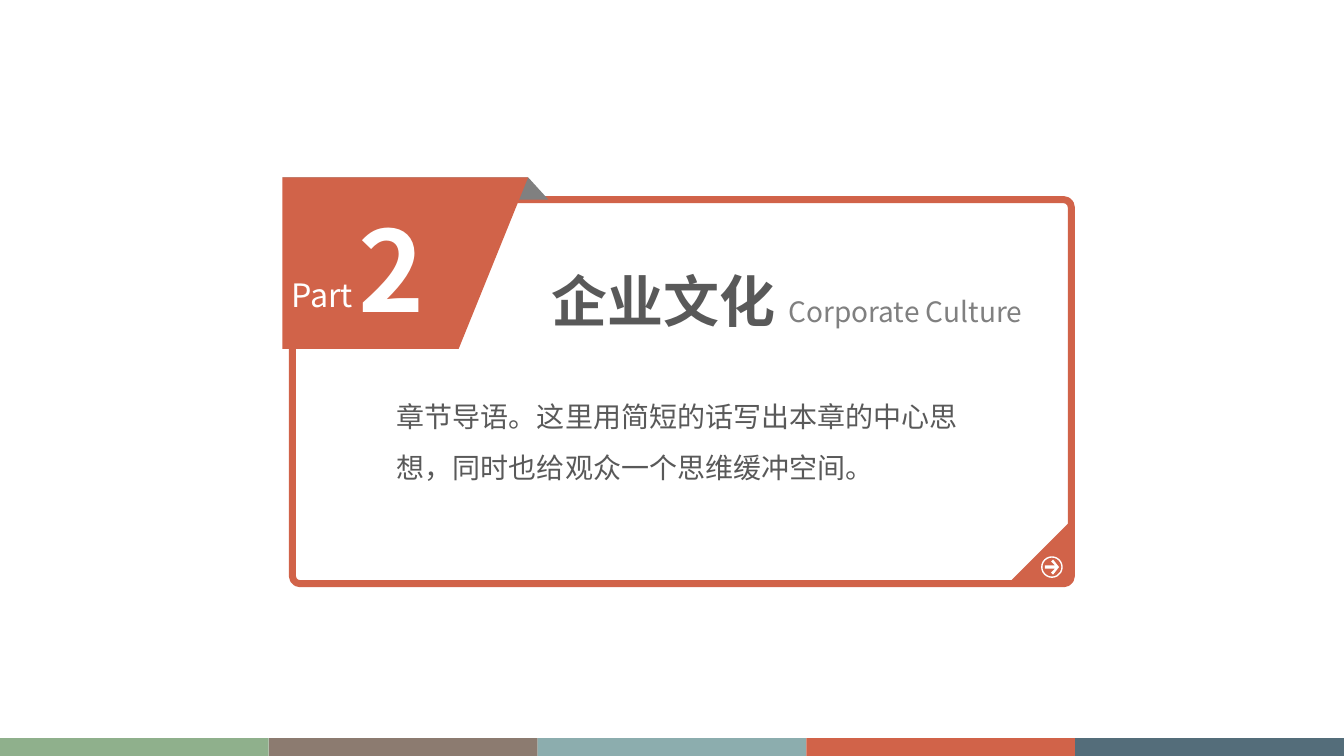
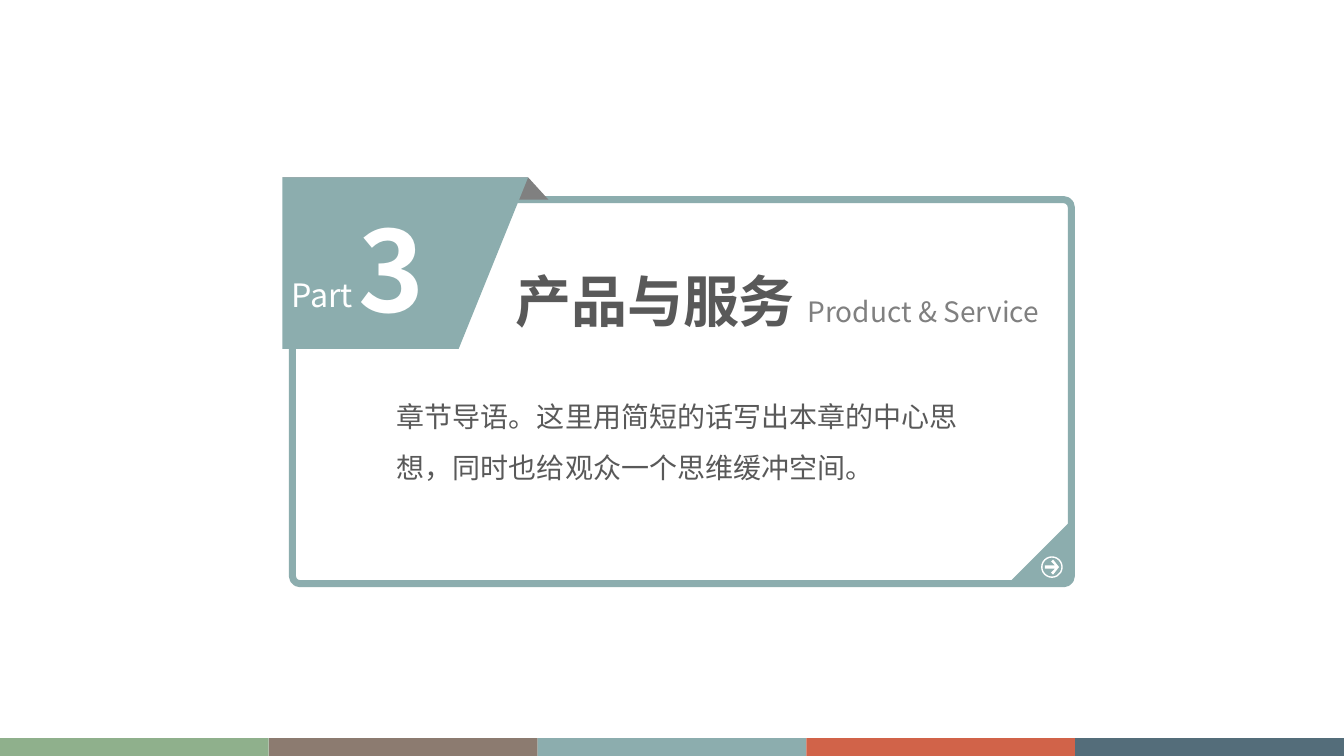
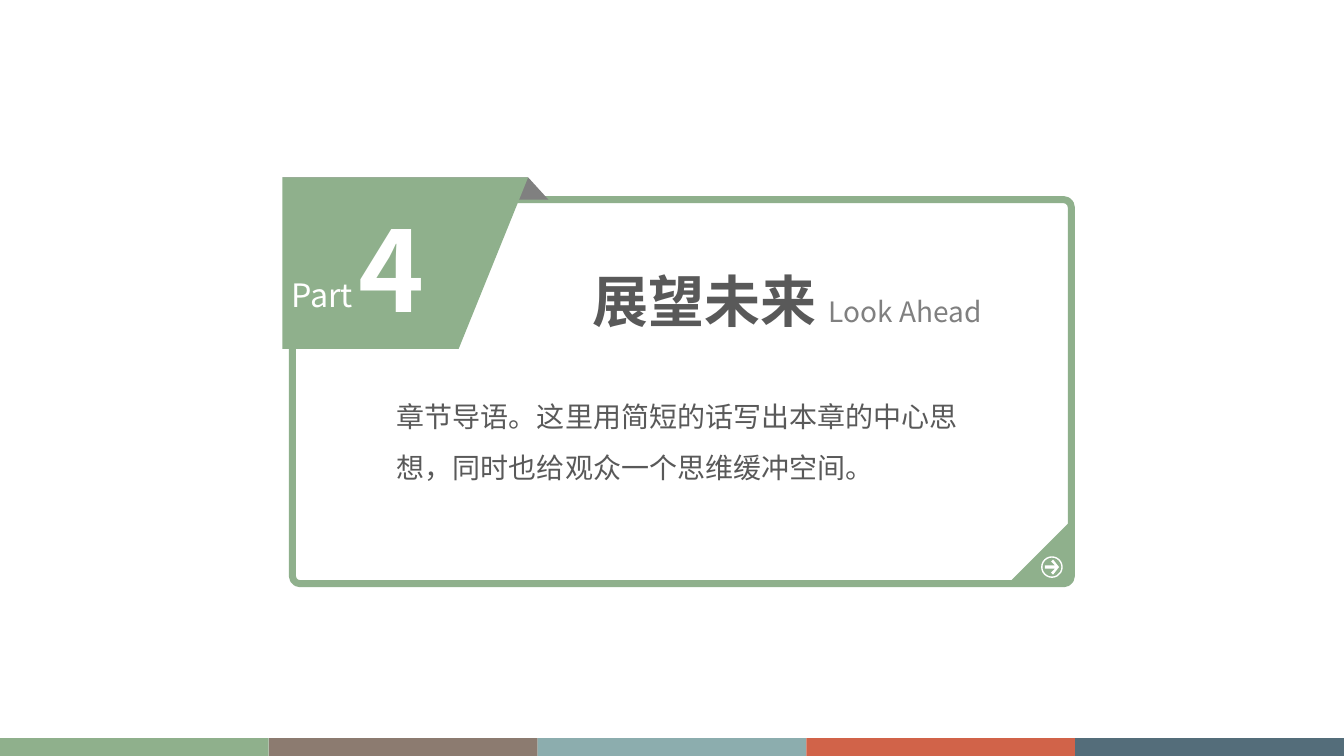
from dataclasses import dataclass

from lxml import etree
from pptx import Presentation
from pptx.dml.color import RGBColor
from pptx.enum import shapes, text
from pptx.oxml.ns import qn
from pptx.util import Cm, Pt


@dataclass(frozen=True)
class Theme:
    font: str = "Noto Sans CJK SC"
    green: str = "8FB08C"
    brown: str = "8C7B70"
    teal: str = "8CADAE"
    red: str = "D16349"
    slate: str = "546D7A"
    white: str = "FFFFFF"
    dark: str = "595959"
    gray: str = "808080"
    digit: int = 80
    title: int = 40
    label: int = 23
    body: int = 20
    border: int = 5


@dataclass(frozen=True)
class Box:
    """Lengths in centimetres."""
    x: float
    y: float
    w: float
    h: float

    def inner(self, x, y, w, h):
        return Box(self.x + x, self.y + y, w, h)

    def emu(self):
        return [Cm(v) for v in (self.x, self.y, self.w, self.h)]


T = Theme()
WIDE, HIGH = 33.87, 19.05
CARD = Box(7.37, 5.03, 19.63, 9.68)
BAND = Box(0, 18.6, WIDE, 0.45)
INTRO = "章节导语。这里用简短的话写出本章的中心思想，同时也给观众一个思维缓冲空间。"
TOPICS = [
    ("2", "企业文化 ", "Corporate Culture", T.red, 5.3),
    ("3", "产品与服务 ", "Product & Service", T.teal, 4.8),
    ("4", "展望未来 ", "Look Ahead", T.green, 5.3),
]


def rgb(color):
    return RGBColor.from_string(color)


def paint(shape, fill=None, line=None, width=1):
    shape.shadow.inherit = False
    if fill:
        shape.fill.solid()
        shape.fill.fore_color.rgb = rgb(fill)
    else:
        shape.fill.background()
    if line:
        shape.line.color.rgb = rgb(line)
        shape.line.width = Pt(width)
    else:
        shape.line.fill.background()


def poly(slide, x, y, points, fill):
    """Filled outline whose points are offsets from x, y."""
    spots = [(Cm(x + dx), Cm(y + dy)) for dx, dy in points]
    pen = slide.shapes.build_freeform(*spots[0])
    pen.add_line_segments(spots[1:], close=True)
    paint(pen.convert_to_shape(), fill)


def write(slide, box, *runs, wrap=True, inset=True):
    """Add one paragraph; each run is (words, size, color, bold)."""
    frame = slide.shapes.add_textbox(*box.emu()).text_frame
    frame.word_wrap = wrap
    frame.auto_size = text.MSO_AUTO_SIZE.SHAPE_TO_FIT_TEXT
    if not inset:
        frame.margin_left = frame.margin_right = 0
        frame.margin_top = frame.margin_bottom = 0
    para = frame.paragraphs[0]
    for words, size, color, bold in runs:
        run = para.add_run()
        run.text = words
        font = run.font
        font.size, font.bold, font.name = Pt(size), bold, T.font
        font.color.rgb = rgb(color)
        east = etree.SubElement(run._r.get_or_add_rPr(), qn("a:ea"))
        east.set("typeface", T.font)
    return para


def arrow(slide, x, y):
    """Ringed arrow centred on x, y."""
    size = 0.51
    ring = slide.shapes.add_shape(
        shapes.MSO_SHAPE.OVAL,
        *Box(x - size / 2, y - size / 2, size, size).emu())
    paint(ring, line=T.white)
    half = [(-0.18, 0.04), (0.08, 0.04), (-0.02, 0.14), (0.03, 0.19)]
    mirror = [(dx, -dy) for dx, dy in reversed(half)]
    poly(slide, x, y, half + [(0.18, 0)] + mirror, T.white)


def frame(slide, box, color):
    edge = slide.shapes.add_shape(
        shapes.MSO_SHAPE.ROUNDED_RECTANGLE, *box.emu())
    edge.adjustments[0] = 0.02
    paint(edge, line=color, width=T.border)


def badge(slide, box, digit, color):
    """Folded tab over the top left corner of the box."""
    out, rise, tip = 0.25, -0.56, 5.94
    poly(slide, box.x, box.y,
         [(out, 0), (6.45, 0), (tip, rise), (-out, rise)], T.gray)
    poly(slide, box.x, box.y,
         [(tip, rise), (-out, rise), (-out, 3.76), (4.19, 3.76)], color)
    write(slide, box.inner(1.42, -0.1, 1.93, 3.68),
          (digit, T.digit, T.white, True))
    write(slide, box.inner(-0.03, 1.9, 1.57, 0.99),
          ("Part", T.label, T.white, False), wrap=False, inset=False)


def corner(slide, box, color):
    x, y, side = box.x + box.w, box.y + box.h, 1.6
    poly(slide, x, y, [(0, -side), (0, 0), (-side, 0)], color)
    arrow(slide, x - 0.49, y - 0.42)


def words(slide, box, title, sub, left):
    head = write(slide, box.inner(left, 1.55, box.w - left, 1.96),
                 (title, T.title, T.dark, True),
                 (sub, T.body, T.gray, False))
    head.alignment = text.PP_ALIGN.CENTER
    lead = write(slide, box.inner(2.38, 4.5, 14.76, 2.67),
                 (INTRO, T.body, T.dark, False))
    lead.line_spacing = 1.5


def bands(slide, box):
    colors = [T.green, T.brown, T.teal, T.red, T.slate]
    group = slide.shapes.add_group_shape()
    wide = box.w / len(colors)
    for i, color in enumerate(colors):
        bar = group.shapes.add_shape(
            shapes.MSO_SHAPE.RECTANGLE,
            *box.inner(i * wide, 0, wide, box.h).emu())
        paint(bar, color)


def divider(slide, box, digit, title, sub, color, left):
    frame(slide, box, color)
    badge(slide, box, digit, color)
    corner(slide, box, color)
    words(slide, box, title, sub, left)
    bands(slide, BAND)


def main():
    deck = Presentation()
    deck.slide_width, deck.slide_height = Cm(WIDE), Cm(HIGH)
    for topic in TOPICS:
        divider(deck.slides.add_slide(deck.slide_layouts[6]), CARD, *topic)
    deck.save("out.pptx")


if __name__ == "__main__":
    main()
